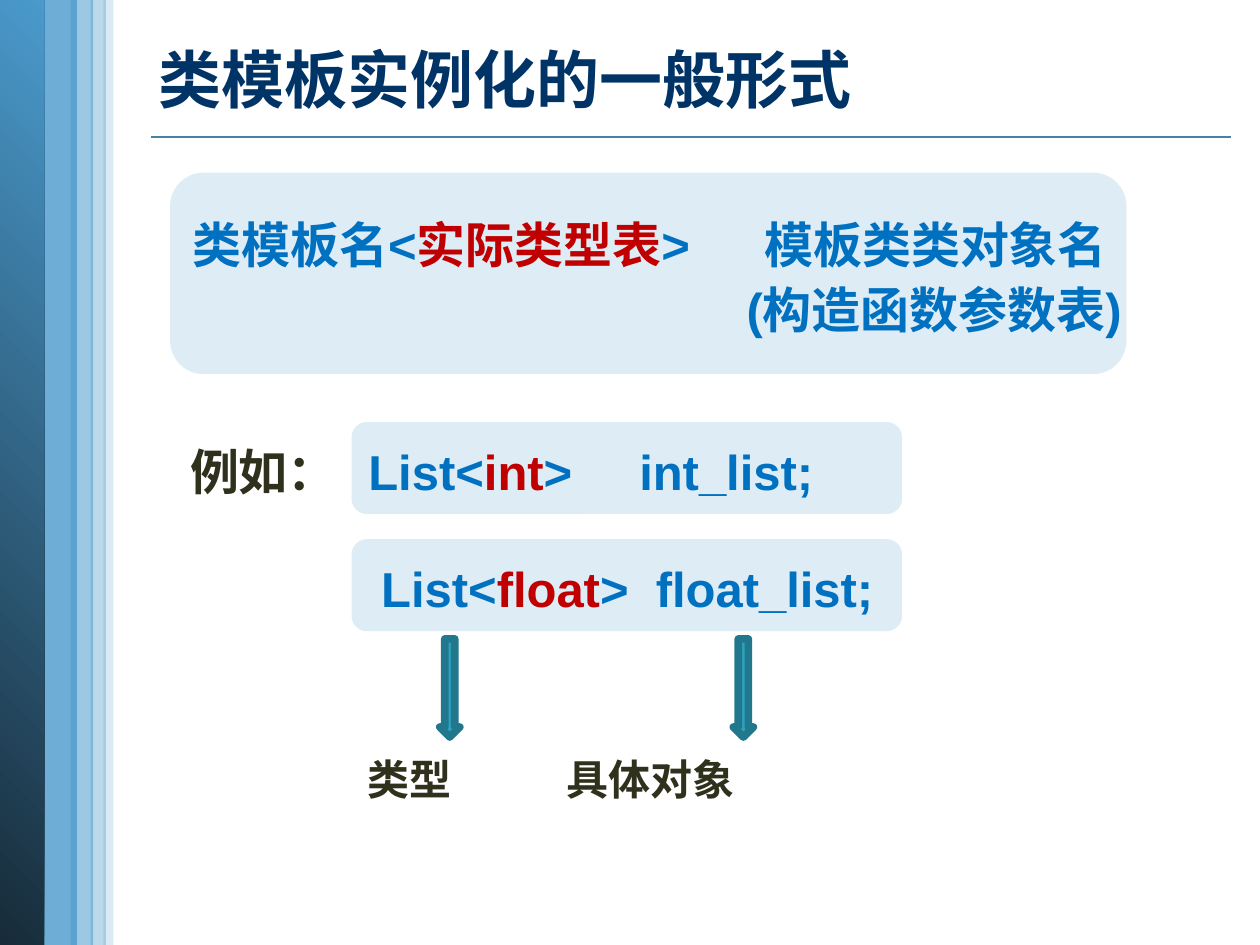
from lxml.etree import SubElement
from pptx import Presentation
from pptx.dml.color import RGBColor
from pptx.enum.shapes import MSO_CONNECTOR, MSO_SHAPE
from pptx.enum.text import MSO_ANCHOR, PP_ALIGN
from pptx.oxml.ns import qn
from pptx.util import Inches, Pt

SANS = "Noto Sans CJK SC"
BLUE, RED, DARK = "0070C0", "C00000", "30311D"
SKY, PALE = "4A9ACC", "92C2E0"

TITLE = "类模板实例化的一般形式"
# left, width, opacity in percent
BANDS = [(0.3, 0.31, 80), (0, 0.35, None), (0.82, 0.08, 20),
         (0.56, 0.18, 54), (0.72, 0.12, 37)]
FORM = [[("类模板名<", BLUE), ("实际类型表", RED), (">\t模板类类对象名", BLUE)],
        [("(构造函数参数表)", BLUE)]]
# runs, top, left inset, tab stop
SAMPLES = [
    ([("List<", BLUE), ("int", RED), (">\tint_list;", BLUE)], 3.35, 0.1, 2.15),
    ([("List<", BLUE), ("float", RED), (">\tfloat_list;", BLUE)], 4.28, 0.2, 2.18),
]
# text, left, top, width, size
LABELS = [("例如：", 1.41, 3.45, 1.35, 28),
          ("类型", 2.82, 5.89, 1, 24),
          ("具体对象", 4.4, 5.89, 1.8, 24)]
ARROWS = [3.49, 5.82]


def color(hue):
    return RGBColor.from_string(hue)


def box(kind, left, top, width, height, hue, alpha=None):
    """Add a shape without outline; alpha is its opacity in percent."""
    shape = slide.shapes.add_shape(kind, *map(Inches, (left, top, width, height)))
    shape.shadow.inherit = False
    shape.line.fill.background()
    shape.fill.solid()
    shape.fill.fore_color.rgb = color(hue)
    if alpha:
        tone = shape.fill._xPr.find(".//" + qn("a:srgbClr"))
        SubElement(tone, qn("a:alpha"), val=str(alpha * 1000))
    return shape


def style(font, size, name, hue):
    font.size, font.name, font.bold = Pt(size), name, True
    SubElement(font._rPr, qn("a:ea"), typeface=SANS)
    font.color.rgb = color(hue)


def write(shape, lines, inset, tab, right=-0.04):
    """Fill a code box with coloured runs; tab is measured from the text edge."""
    frame = shape.text_frame
    frame.word_wrap = True
    frame.vertical_anchor = MSO_ANCHOR.MIDDLE
    frame.margin_left, frame.margin_right = Inches(inset), Inches(right)
    for row, runs in enumerate(lines):
        para = frame.add_paragraph() if row else frame.paragraphs[0]
        para.alignment = PP_ALIGN.RIGHT if row else PP_ALIGN.LEFT
        para.line_spacing = 1.1
        if not row:
            tabs = SubElement(para._p.get_or_add_pPr(), qn("a:tabLst"))
            SubElement(tabs, qn("a:tab"), pos=str(Inches(tab)), algn="l")
        for text, hue in runs:
            run = para.add_run()
            run.text = text
            style(run.font, 28, "Arial", hue)


deck = Presentation()
deck.slide_width, deck.slide_height = Inches(10), Inches(7.5)
slide = deck.slides.add_slide(deck.slide_layouts[5])

rule = slide.shapes.add_connector(
    MSO_CONNECTOR.STRAIGHT, Inches(1.2), Inches(1.09), Inches(9.77), Inches(1.09))
rule.line.color.rgb = color("4582A7")
rule.line.width = Pt(1)
SubElement(rule._element.spPr, qn("a:effectLst"))

for left, width, alpha in BANDS:
    band = box(MSO_SHAPE.RECTANGLE, left, 0, width, 7.5, SKY, alpha)
    if not alpha:
        band.fill.gradient()
        band.fill.gradient_angle = 45
        for stop, hue in zip(band.fill.gradient_stops, ("172B39", SKY)):
            stop.color.rgb = color(hue)

title = slide.shapes.title
title.left, title.top, title.width, title.height = map(Inches, (1.16, 0.07, 8.84, 1.11))
title.text_frame.text = TITLE
title.text_frame.vertical_anchor = MSO_ANCHOR.MIDDLE
head = title.text_frame.paragraphs[0]
head.alignment = PP_ALIGN.LEFT
style(head.font, 36, SANS, "003366")

write(box(MSO_SHAPE.ROUNDED_RECTANGLE, 1.35, 1.37, 7.59, 1.6, PALE, 30),
      FORM, 0.1, 4.54)
for runs, top, inset, tab in SAMPLES:
    write(box(MSO_SHAPE.ROUNDED_RECTANGLE, 2.79, top, 4.37, 0.73, PALE, 30),
          [runs], inset, tab)

for left in ARROWS:
    arrow = box(MSO_SHAPE.DOWN_ARROW, left, 5.07, 0.16, 0.78, "2DA2BF")
    arrow.line.color.rgb = color("21788D")
    arrow.line.width = Pt(4.33)

for text, left, top, width, size in LABELS:
    label = slide.shapes.add_textbox(*map(Inches, (left, top, width, 0.58)))
    frame = label.text_frame
    frame.word_wrap = True
    frame.vertical_anchor = MSO_ANCHOR.MIDDLE
    frame.text = text
    style(frame.paragraphs[0].font, size, SANS, DARK)

deck.save("out.pptx")
